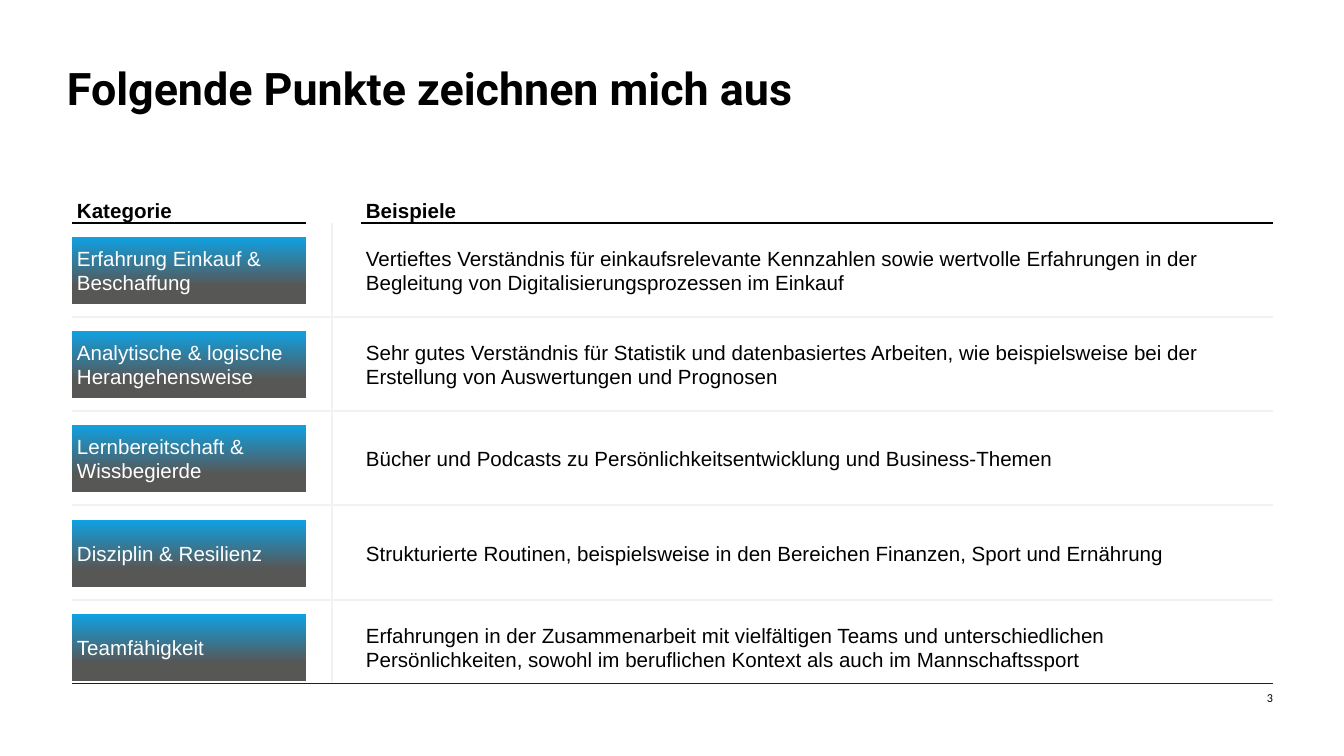
from lxml.etree import SubElement
from pptx import Presentation
from pptx.dml.color import RGBColor
from pptx.enum.shapes import MSO_CONNECTOR, MSO_SHAPE
from pptx.enum.text import MSO_ANCHOR, PP_ALIGN
from pptx.oxml.ns import qn
from pptx.util import Pt

PX = 914400 / 134.4  # EMU per px
BLACK = RGBColor(0x00, 0x00, 0x00)
WHITE = RGBColor(0xFF, 0xFF, 0xFF)
BLUE = RGBColor(0x0F, 0xA1, 0xE2)
GREY = RGBColor(0x57, 0x57, 0x56)
LIGHT = RGBColor(0xF2, 0xF2, 0xF2)
NAVY = RGBColor(0x0C, 0x23, 0x40)

LEFT, RIGHT = 72, 1273
CAT_W = 234
EX_LEFT = 361
HEAD_TOP, HEAD_H = 198, 25
HEAD_LINE = HEAD_TOP + HEAD_H
ROW_TOP, ROW_H, ROW_GAP = 237, 67, 13
CELL = (5, 8, 15, 8)  # left, top, right, bottom margins

ROWS = [
    ("Erfahrung Einkauf & Beschaffung",
     "Vertieftes Verständnis für einkaufsrelevante Kennzahlen sowie wertvolle "
     "Erfahrungen in der Begleitung von Digitalisierungsprozessen im Einkauf"),
    ("Analytische & logische Herangehensweise",
     "Sehr gutes Verständnis für Statistik und datenbasiertes Arbeiten, wie "
     "beispielsweise bei der Erstellung von Auswertungen und Prognosen"),
    ("Lernbereitschaft & Wissbegierde",
     "Bücher und Podcasts zu Persönlichkeitsentwicklung und Business-Themen"),
    ("Disziplin & Resilienz",
     "Strukturierte Routinen, beispielsweise in den Bereichen Finanzen, Sport "
     "und Ernährung"),
    ("Teamfähigkeit",
     "Erfahrungen in der Zusammenarbeit mit vielfältigen Teams und "
     "unterschiedlichen Persönlichkeiten, sowohl im beruflichen Kontext als "
     "auch im Mannschaftssport"),
]

prs = Presentation()
prs.slide_width, prs.slide_height = round(1344 * PX), round(756 * PX)
s = prs.slides.add_slide(prs.slide_layouts[6])


def add_text(box, text, size=11, font="Arial", color=BLACK, bold=False,
             margins=CELL, anchor=MSO_ANCHOR.MIDDLE, filled=False):
    """Add a text box, or a gradient rectangle, and return its paragraph."""
    x, y, w, h = [round(v * PX) for v in box]
    if filled:
        sp = s.shapes.add_shape(MSO_SHAPE.RECTANGLE, x, y, w, h)
        sp.shadow.inherit = False
        sp.line.fill.background()
        sp.fill.gradient()
        sp.fill.gradient_angle = 270
        for stop, (pos, rgb) in zip(sp.fill.gradient_stops, [(0, BLUE), (0.73, GREY)]):
            stop.position = pos
            stop.color.rgb = rgb
    else:
        sp = s.shapes.add_textbox(x, y, w, h)
    tf = sp.text_frame
    tf.word_wrap = True
    tf.vertical_anchor = anchor
    tf.margin_left, tf.margin_top, tf.margin_right, tf.margin_bottom = [
        round(m * PX) for m in margins]
    tf.text = text
    p = tf.paragraphs[0]
    p.alignment = PP_ALIGN.LEFT
    f = p.runs[0].font
    f.size, f.name, f.bold = Pt(size), font, bold
    f.color.rgb = color
    return p


def add_line(x1, y1, x2, y2, color, width=1):
    ln = s.shapes.add_connector(
        MSO_CONNECTOR.STRAIGHT, *[round(v * PX) for v in (x1, y1, x2, y2)])
    ln.line.color.rgb = color
    ln.line.width = Pt(width)
    SubElement(ln._element.spPr, qn("a:effectLst"))


# Footer rule and page number
add_line(LEFT, 684, RIGHT, 684, NAVY, 0.5)
p = add_text((1200, 684, 73, 36), "3", size=6.5, font="Calibri",
             margins=(0, 9, 0, 0), anchor=MSO_ANCHOR.TOP)
p.alignment = PP_ALIGN.RIGHT
p.line_spacing = Pt(6.5)

# Title
p = add_text((67, 67, 1133, 79), "Folgende Punkte zeichnen mich aus", size=24,
             font="Roboto", bold=True, margins=(0, 0, 0, 0), anchor=MSO_ANCHOR.TOP)
p.line_spacing = 0.9

# Column headings
for x, w, heading in [(LEFT, CAT_W, "Kategorie"), (EX_LEFT, RIGHT - EX_LEFT, "Beispiele")]:
    add_text((x, HEAD_TOP, w, HEAD_H), heading, bold=True)
    add_line(x, HEAD_LINE, x + w, HEAD_LINE, BLACK)

# Column divider
add_line(332, HEAD_LINE, 332, 682, LIGHT)

# Rows with separators between them
for i, (category, example) in enumerate(ROWS):
    y = ROW_TOP + 944 * i // 10
    add_text((LEFT, y, CAT_W, ROW_H), category, color=WHITE, filled=True)
    add_text((EX_LEFT, y, RIGHT - EX_LEFT, ROW_H), example)
    if i < len(ROWS) - 1:
        line_y = y + ROW_H + ROW_GAP
        add_line(LEFT, line_y, RIGHT, line_y, LIGHT)

prs.save("out.pptx")
